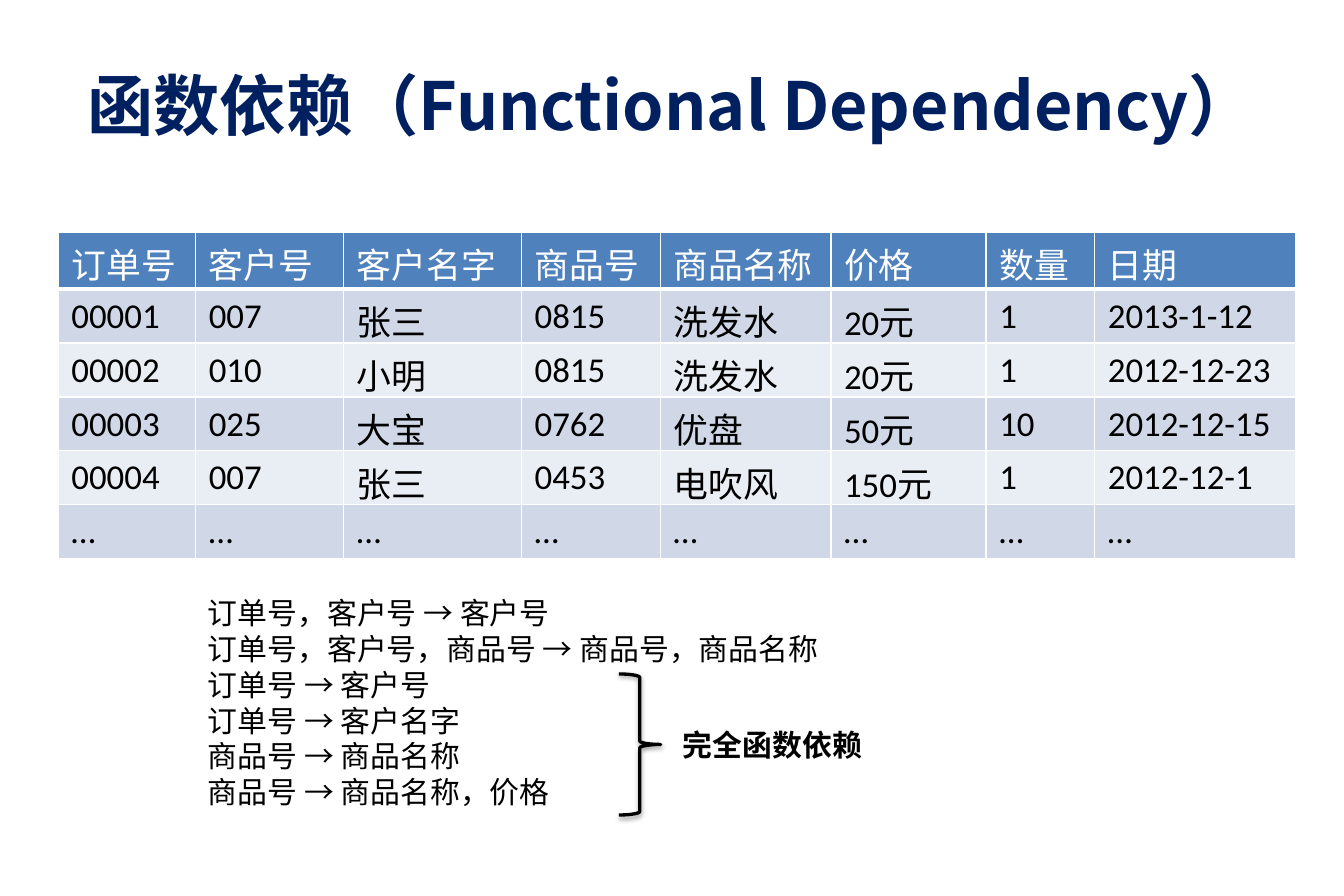
from pptx import Presentation
from pptx.dml.color import RGBColor
from pptx.enum.shapes import MSO_SHAPE
from pptx.enum.text import MSO_ANCHOR, MSO_AUTO_SIZE, PP_ALIGN
from pptx.oxml import parse_xml
from pptx.oxml.ns import nsdecls, qn
from pptx.util import Cm, Pt

NAVY = RGBColor(0x00, 0x20, 0x60)
BLUE = RGBColor(0x4F, 0x81, 0xBD)
PALE_BLUE = RGBColor(0xD0, 0xD8, 0xE8)
PALE_GREY = RGBColor(0xE9, 0xED, 0xF4)
WHITE = RGBColor(0xFF, 0xFF, 0xFF)
BLACK = RGBColor(0x00, 0x00, 0x00)


class SlideBuilder:
    body_font = "Calibri"
    title_font = "Noto Sans CJK SC"

    def __init__(self, slide):
        self.slide = slide

    def run(self, paragraph, text, size, color=BLACK, bold=False, font=body_font):
        run = paragraph.add_run()
        run.text = text
        run.font.name = font
        run.font.size = Pt(size)
        run.font.bold = bold
        run.font.color.rgb = color
        return run

    def title(self, text, left, top, width, height):
        heading = self.slide.shapes.title
        heading.left, heading.top = Cm(left), Cm(top)
        heading.width, heading.height = Cm(width), Cm(height)
        frame = heading.text_frame
        frame.word_wrap = True
        frame.auto_size = MSO_AUTO_SIZE.NONE
        frame.vertical_anchor = MSO_ANCHOR.MIDDLE
        paragraph = frame.paragraphs[0]
        paragraph.alignment = PP_ALIGN.CENTER
        paragraph.line_spacing = 0.83
        run = self.run(paragraph, text, 40, NAVY, True, self.title_font)
        run.font._element.append(parse_xml(
            f'<a:ea {nsdecls("a")} typeface="{self.title_font}"/>'))

    def text(self, lines, left, top, width, height, bold=False, wrap=True):
        box = self.slide.shapes.add_textbox(Cm(left), Cm(top), Cm(width), Cm(height))
        frame = box.text_frame
        frame.word_wrap = wrap
        frame.auto_size = MSO_AUTO_SIZE.SHAPE_TO_FIT_TEXT
        for index, line in enumerate(lines):
            paragraph = frame.add_paragraph() if index else frame.paragraphs[0]
            self.run(paragraph, line, 18, bold=bold)

    def cell_borders(self, cell, bottom):
        properties = cell._tc.get_or_add_tcPr()
        widths = {"lnL": 1, "lnR": 1, "lnT": 1, "lnB": bottom}
        for index, (side, width) in enumerate(widths.items()):
            properties.insert(index, parse_xml(
                f'<a:{side} {nsdecls("a")} w="{Pt(width)}"><a:solidFill>'
                f'<a:srgbClr val="{WHITE}"/></a:solidFill></a:{side}>'))

    def table(self, rows, column_widths, row_heights, left, top):
        table = self.slide.shapes.add_table(
            len(rows), len(column_widths), Cm(left), Cm(top),
            Cm(sum(column_widths)), Cm(sum(row_heights))).table
        for column, width in zip(table.columns, column_widths):
            column.width = Cm(width)
        for row, height in zip(table.rows, row_heights):
            row.height = Cm(height)
        for row_index, values in enumerate(rows):
            header = row_index == 0
            band = PALE_BLUE if row_index % 2 else PALE_GREY
            for column_index, value in enumerate(values):
                cell = table.cell(row_index, column_index)
                cell.margin_left = cell.margin_right = Cm(0.28)
                cell.fill.solid()
                cell.fill.fore_color.rgb = BLUE if header else band
                self.cell_borders(cell, 3 if header else 1)
                self.run(cell.text_frame.paragraphs[0], value, 21,
                         WHITE if header else BLACK)

    def brace(self, left, top, width, height):
        brace = self.slide.shapes.add_shape(
            MSO_SHAPE.RIGHT_BRACE, Cm(left), Cm(top), Cm(width), Cm(height))
        brace.fill.background()
        brace.line.color.rgb = BLACK
        brace.line.width = Pt(2)
        brace.shadow.inherit = False
        effects = brace._element.spPr.find(qn("a:effectLst"))
        effects.append(parse_xml(
            f'<a:outerShdw {nsdecls("a")} blurRad="{Pt(3.1)}" dist="{Pt(1.6)}" '
            f'dir="5400000" rotWithShape="0"><a:srgbClr val="{BLACK}">'
            '<a:alpha val="38000"/></a:srgbClr></a:outerShdw>'))


ORDERS = [
    ("订单号", "客户号", "客户名字", "商品号", "商品名称", "价格", "数量", "日期"),
    ("00001", "007", "张三", "0815", "洗发水", "20元", "1", "2013-1-12"),
    ("00002", "010", "小明", "0815", "洗发水", "20元", "1", "2012-12-23"),
    ("00003", "025", "大宝", "0762", "优盘", "50元", "10", "2012-12-15"),
    ("00004", "007", "张三", "0453", "电吹风", "150元", "1", "2012-12-1"),
    ("…",) * 8,
]
ORDER_WIDTHS = [2.92, 3.15, 3.78, 2.95, 3.63, 3.3, 2.31, 4.27]
ORDER_HEIGHTS = [1.22] + [1.04] * 5
DEPENDENCIES = [
    "订单号，客户号 → 客户号",
    "订单号，客户号，商品号 → 商品号，商品名称",
    "订单号 → 客户号",
    "订单号 → 客户名字",
    "商品号 → 商品名称",
    "商品号 → 商品名称，价格",
]

presentation = Presentation()
presentation.slide_width, presentation.slide_height = Cm(28.58), Cm(19.05)
builder = SlideBuilder(presentation.slides.add_slide(presentation.slide_layouts[5]))
builder.title("函数依赖（Functional Dependency）", 1.42, 0.76, 25.7, 3.18)
builder.text(DEPENDENCIES, 4.17, 12.52, 15.52, 5.64)
builder.table(ORDERS, ORDER_WIDTHS, ORDER_HEIGHTS, 1.24, 4.93)
builder.brace(13.16, 14.33, 0.89, 3)
builder.text(["完全函数依赖"], 14.27, 15.32, 4.39, 1.02, bold=True, wrap=False)
presentation.save("out.pptx")
